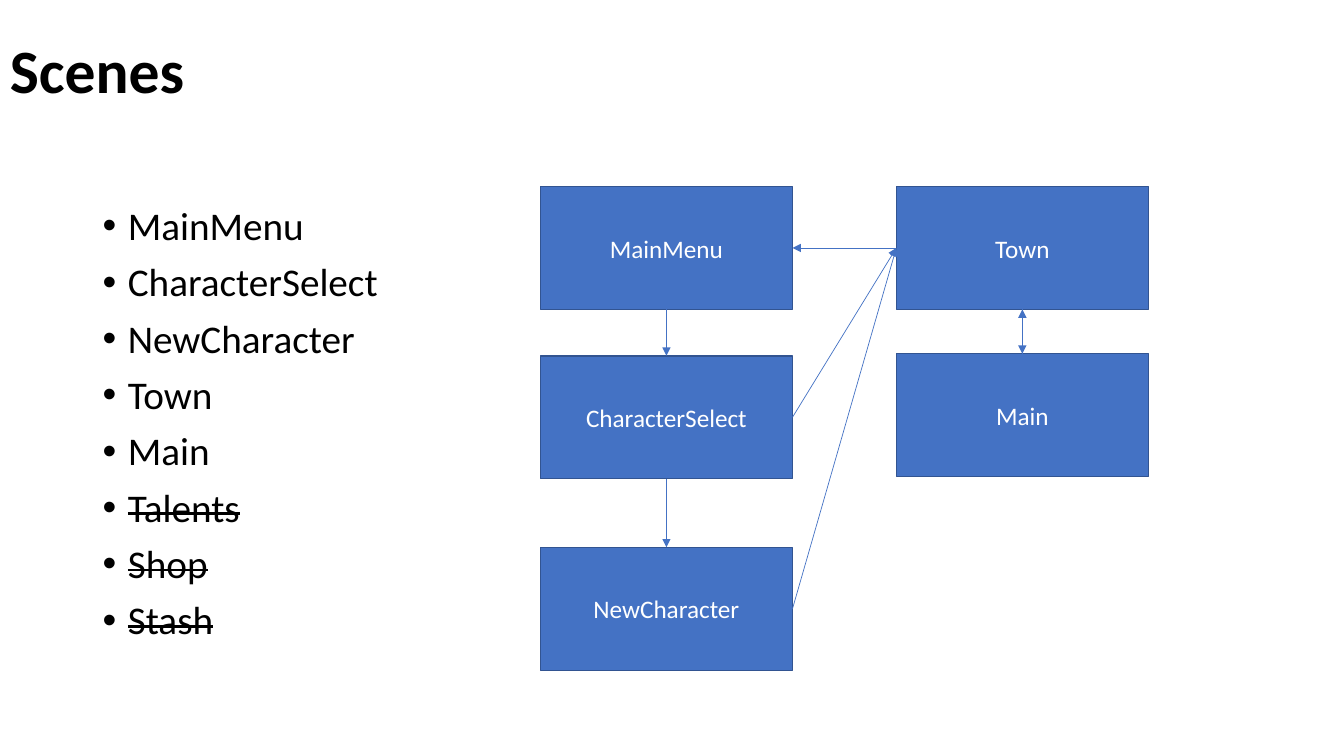
"""Build the Scenes slide: a list of game scenes and the flow between them."""
from lxml.etree import SubElement
from pptx import Presentation
from pptx.dml.color import RGBColor
from pptx.enum.shapes import MSO_CONNECTOR as Link, MSO_SHAPE as Preset
from pptx.enum.text import MSO_ANCHOR as Anchor, PP_ALIGN as Align
from pptx.oxml.ns import qn
from pptx.util import Inches, Pt


def color(hex_code):
    return RGBColor.from_string(hex_code)


def style(paragraph, size, hex_code, bold=False):
    for run in paragraph.runs:
        run.font.name = "Calibri"
        run.font.size = Pt(size)
        run.font.bold = bold
        run.font.color.rgb = color(hex_code)


BLUE, EDGE, BLACK, WHITE = "4472C4", "325491", "000000", "FFFFFF"
LEFT_COLUMN, RIGHT_COLUMN = 5.36, 8.89
SCENE_WIDTH, SCENE_HEIGHT = 2.5, 1.22
TOP, LEFT, BOTTOM, RIGHT = range(4)

deck = Presentation()
deck.slide_width, deck.slide_height = Inches(13.33), Inches(7.5)
slide = deck.slides.add_slide(deck.slide_layouts[6])

title = slide.shapes.add_textbox(0, 0, Inches(11.5), Inches(1.45)).text_frame
title.word_wrap = True
title.vertical_anchor = Anchor.MIDDLE
title.text = "Scenes"
title.paragraphs[0].line_spacing = 0.9
style(title.paragraphs[0], 44, BLACK, bold=True)

scene_names = ["MainMenu", "CharacterSelect", "NewCharacter", "Town", "Main"]
dropped_names = ["Talents", "Shop", "Stash"]
scene_list = slide.shapes.add_textbox(
    Inches(0.92), Inches(2), Inches(11.5), Inches(4.76)).text_frame
scene_list.word_wrap = True
scene_list.text = "\n".join(scene_names + dropped_names)
for entry in scene_list.paragraphs:
    entry.line_spacing = 0.9
    entry.space_before = Pt(10)
    style(entry, 28, BLACK)
    properties = entry._p.get_or_add_pPr()
    properties.set("marL", str(Inches(0.25)))
    properties.set("indent", str(-Inches(0.25)))
    SubElement(properties, qn("a:buFont")).set("typeface", "Arial")
    SubElement(properties, qn("a:buChar")).set("char", "•")
    if entry.text in dropped_names:
        entry.runs[0].font._element.set("strike", "sngStrike")

scene_spots = [(LEFT_COLUMN, 1.85), (LEFT_COLUMN, 3.53), (LEFT_COLUMN, 5.43),
               (RIGHT_COLUMN, 1.85), (RIGHT_COLUMN, 3.51)]
scenes = {}
for name, (left, top) in zip(scene_names, scene_spots):
    scene = slide.shapes.add_shape(
        Preset.RECTANGLE, Inches(left), Inches(top),
        Inches(SCENE_WIDTH), Inches(SCENE_HEIGHT))
    scene.shadow.inherit = False
    scene.fill.solid()
    scene.fill.fore_color.rgb = color(BLUE)
    scene.line.color.rgb = color(EDGE)
    scene.line.width = Pt(1)
    scene.text_frame.text = name
    scene.text_frame.vertical_anchor = Anchor.MIDDLE
    scene.text_frame.paragraphs[0].alignment = Align.CENTER
    style(scene.text_frame.paragraphs[0], 18, WHITE)
    scenes[name] = scene

transitions = [
    ("MainMenu", BOTTOM, "CharacterSelect", TOP),
    ("CharacterSelect", BOTTOM, "NewCharacter", TOP),
    ("CharacterSelect", RIGHT, "Town", LEFT),
    ("NewCharacter", RIGHT, "Town", LEFT),
    ("Town", LEFT, "MainMenu", RIGHT),
    ("Town", BOTTOM, "Main", TOP),
    ("Main", TOP, "Town", BOTTOM),
]
for origin, exit_side, target, entry_side in transitions:
    arrow = slide.shapes.add_connector(Link.STRAIGHT, 0, 0, 0, 0)
    arrow.begin_connect(scenes[origin], exit_side)
    arrow.end_connect(scenes[target], entry_side)
    arrow.line.color.rgb = color(BLUE)
    arrow.line.width = Pt(0.5)
    SubElement(arrow.line._get_or_add_ln(), qn("a:tailEnd")).set("type", "triangle")
    SubElement(arrow._element.spPr, qn("a:effectLst"))

deck.save("out.pptx")
